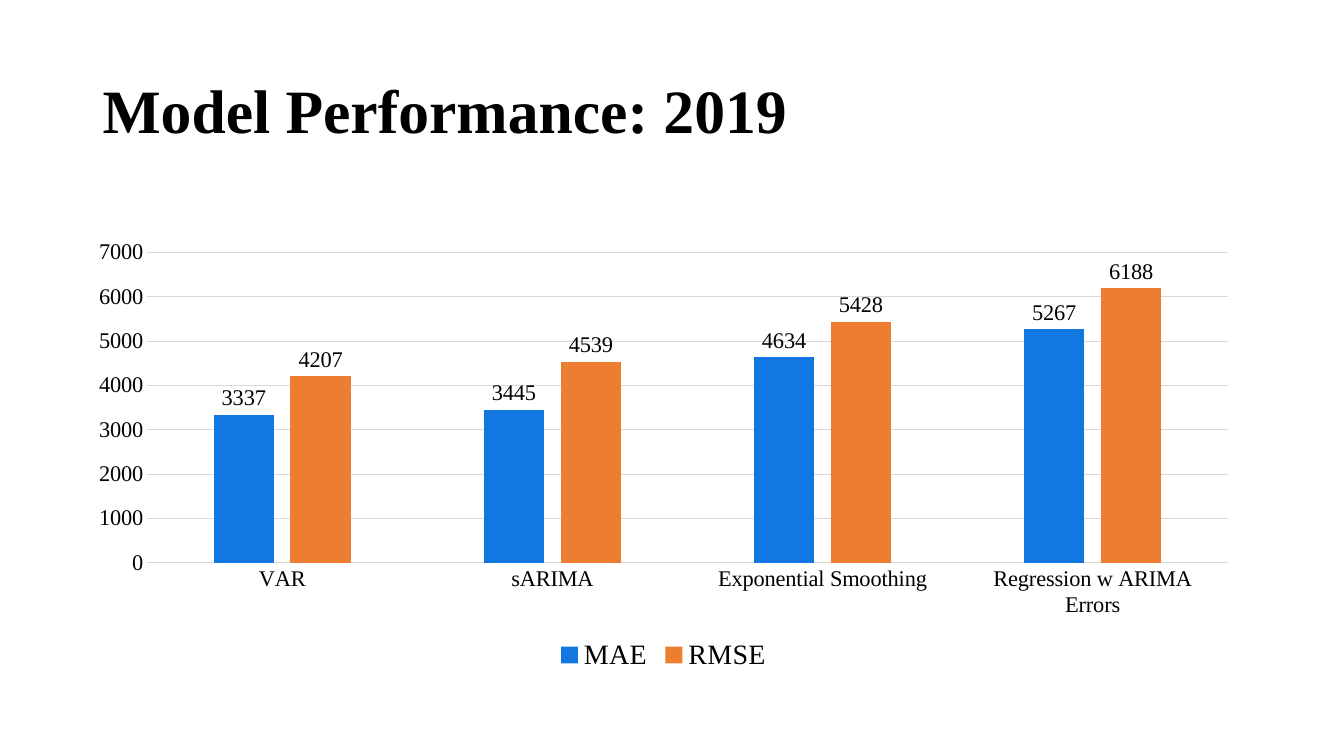
"""Build the 2019 model performance slide with its error comparison chart."""
import pptx
import pptx.chart.data
import pptx.dml.color
import pptx.enum.chart
import pptx.enum.text
import pptx.util

Inches = pptx.util.Inches
Pt = pptx.util.Pt
RGBColor = pptx.dml.color.RGBColor

BLACK = RGBColor(0x00, 0x00, 0x00)
GRID_GREY = RGBColor(0xD9, 0xD9, 0xD9)
MAE_BLUE = RGBColor(0x12, 0x77, 0xE1)
RMSE_ORANGE = RGBColor(0xED, 0x7D, 0x31)
FONT = "Times New Roman"

HEADING = "Model Performance: 2019"
MODELS = ["VAR", "sARIMA", "Exponential Smoothing", "Regression w ARIMA Errors"]
ERRORS = [
    ("MAE", MAE_BLUE, [3337, 3445, 4634, 5267]),
    ("RMSE", RMSE_ORANGE, [4207, 4539, 5428, 6188]),
]


def style_font(font, size, bold=False):
    font.name = FONT
    font.size = Pt(size)
    font.bold = bold
    font.color.rgb = BLACK


def style_line(line):
    line.color.rgb = GRID_GREY
    line.width = Pt(0.75)


def add_heading(slide):
    heading = slide.shapes.add_textbox(Inches(0.92), Inches(0.4), Inches(11.5), Inches(1.45))
    frame = heading.text_frame
    frame.word_wrap = True
    frame.vertical_anchor = pptx.enum.text.MSO_ANCHOR.MIDDLE
    frame.text = HEADING
    frame.paragraphs[0].line_spacing = 0.9
    style_font(frame.paragraphs[0].runs[0].font, 44, bold=True)


def add_error_chart(slide):
    error_data = pptx.chart.data.CategoryChartData(number_format="0")
    error_data.categories = MODELS
    for measure, _, values in ERRORS:
        error_data.add_series(measure, values)
    chart = slide.shapes.add_chart(
        pptx.enum.chart.XL_CHART_TYPE.COLUMN_CLUSTERED,
        Inches(0.75), Inches(2.29), Inches(11.66), Inches(4.42), error_data,
    ).chart
    style_font(chart.font, 16)
    chart.has_title = False

    chart.has_legend = True
    chart.legend.position = pptx.enum.chart.XL_LEGEND_POSITION.BOTTOM
    chart.legend.include_in_layout = False
    style_font(chart.legend.font, 20)

    model_axis, error_axis = chart.category_axis, chart.value_axis
    for axis in (model_axis, error_axis):
        axis.major_tick_mark = pptx.enum.chart.XL_TICK_MARK.NONE
        axis.minor_tick_mark = pptx.enum.chart.XL_TICK_MARK.NONE
        style_font(axis.tick_labels.font, 16)
    style_line(model_axis.format.line)
    error_axis.format.line.fill.background()
    error_axis.has_major_gridlines = True
    style_line(error_axis.major_gridlines.format.line)
    error_axis.minimum_scale = 0
    error_axis.maximum_scale = 7000
    error_axis.major_unit = 1000
    error_axis.tick_labels.number_format = "0"
    error_axis.tick_labels.number_format_is_linked = False

    columns = chart.plots[0]
    columns.gap_width = 219
    columns.overlap = -27
    columns.vary_by_categories = False
    for series, (_, color, _) in zip(columns.series, ERRORS):
        series.format.fill.solid()
        series.format.fill.fore_color.rgb = color
        series.invert_if_negative = False
        labels = series.data_labels
        labels.show_value = True
        labels.number_format = "0"
        labels.number_format_is_linked = False
        labels.position = pptx.enum.chart.XL_LABEL_POSITION.OUTSIDE_END
        style_font(labels.font, 16)


def main():
    deck = pptx.Presentation()
    deck.slide_width = Inches(13.33)
    deck.slide_height = Inches(7.5)
    slide = deck.slides.add_slide(deck.slide_layouts[6])
    add_heading(slide)
    add_error_chart(slide)
    deck.save("out.pptx")


if __name__ == "__main__":
    main()
